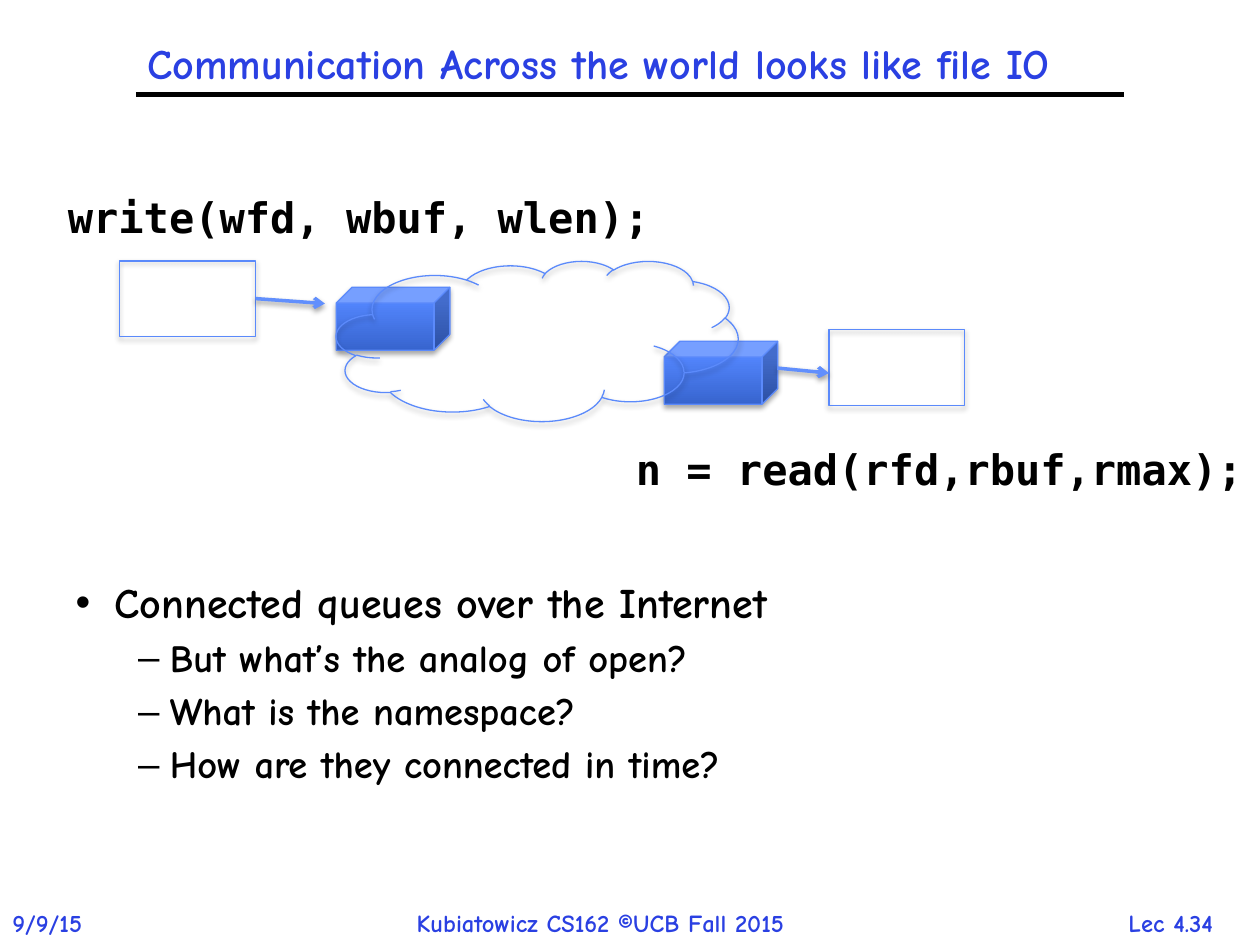
from lxml import etree
from pptx import Presentation
from pptx import util as u
from pptx.dml import color
from pptx.enum import shapes, text
from pptx.oxml import ns

BLUE, BLACK, OUTLINE, ARROW = "2A40E2", "000000", "5B8AFB", "618FFD"
COMIC, MONO = "Comic Neue", "DejaVu Sans Mono"


def rgb(value):
    """Turn a hex string into a colour."""
    return color.RGBColor.from_string(value)


def cm(*lengths):
    """Turn centimetre numbers into lengths."""
    return [u.Cm(length) for length in lengths]


def apply(target, formats):
    """Set every attribute named in a dict."""
    for name, value in formats.items():
        setattr(target, name, value)


def add_child(parent, tag, **attributes):
    """Append a drawing element and return it."""
    child = etree.SubElement(parent, ns.qn(tag))
    for name, value in attributes.items():
        child.set(name, str(value))
    return child


def write(paragraph, words, size, font, hex_color):
    """Put one bold formatted run in a paragraph."""
    run = paragraph.add_run()
    run.text = words
    apply(run.font, {"size": u.Pt(size), "name": font, "bold": True})
    run.font.color.rgb = rgb(hex_color)


def place(shape, box):
    """Move and size a shape."""
    apply(shape, dict(zip(("left", "top", "width", "height"), cm(*box))))


def add_label(slide, box, words, size, font, hex_color, wrap=True):
    """Add a text box with one line of text."""
    frame = slide.shapes.add_textbox(*cm(*box)).text_frame
    frame.word_wrap = wrap
    write(frame.paragraphs[0], words, size, font, hex_color)


def add_shadow(effects, opacity, distance):
    """Fill an effect list with a soft shadow below the shape."""
    shadow = add_child(effects, "a:outerShdw", blurRad=u.Pt(3.1), dist=u.Pt(distance),
                       dir=5400000, rotWithShape=0)
    shade = add_child(shadow, "a:srgbClr", val=BLACK)
    add_child(shade, "a:alpha", val=opacity * 1000)


def add_figure(slide, kind, box, filled=False):
    """Add an outlined shape, with a blue gradient if filled."""
    shape = slide.shapes.add_shape(kind, *cm(*box))
    if filled:
        shape.fill.gradient()
        shape.fill.gradient_angle = 90
        stops = zip(shape.fill.gradient_stops, ("3764CE", "5487FF"), (0, 0.8))
        for stop, hex_color, position in stops:
            stop.color.rgb = rgb(hex_color)
            stop.position = position
    else:
        shape.fill.background()
    shape.line.color.rgb = rgb(OUTLINE)
    shape.line.width = u.Pt(0.75)
    shape.shadow.inherit = False
    add_shadow(shape.element.spPr.find(ns.qn("a:effectLst")), 35, 1.8)


def add_line(slide, ends, hex_color, width, arrow=False):
    """Add a straight line, with an arrowhead and shadow if it is an arrow."""
    line = slide.shapes.add_connector(shapes.MSO_CONNECTOR.STRAIGHT, *cm(*ends))
    line.line.color.rgb = rgb(hex_color)
    line.line.width = u.Pt(width)
    properties = line.element.spPr
    effects = add_child(properties, "a:effectLst")
    if arrow:
        add_child(properties.find(ns.qn("a:ln")), "a:tailEnd", type="arrow")
        add_shadow(effects, 38, 1.6)


def fill_title(title, words):
    """Place and write the slide title."""
    place(title, (0, 0.1, 24.13, 2.44))
    apply(title.text_frame, {"auto_size": text.MSO_AUTO_SIZE.NONE,
                             "vertical_anchor": text.MSO_ANCHOR.MIDDLE})
    paragraph = title.text_frame.paragraphs[0]
    apply(paragraph, {"alignment": text.PP_ALIGN.CENTER, "line_spacing": 0.9})
    write(paragraph, words, 24, COMIC, BLUE)


def fill_body(body, items):
    """Place the body and write its bulleted list."""
    place(body, (1.27, 11.61, 22.86, 5.89))
    frame = body.text_frame
    frame.auto_size = text.MSO_AUTO_SIZE.NONE
    styles = (("•", 24, 0.79, -0.79), ("–", 22, 1.9, -0.64))
    for index, (level, words) in enumerate(items):
        paragraph = frame.add_paragraph() if index else frame.paragraphs[0]
        bullet, size, margin, indent = styles[level]
        apply(paragraph, {"level": level, "line_spacing": 0.9,
                          "space_before": u.Pt(size * 0.3)})
        write(paragraph, words, size, COMIC, BLACK)
        properties = paragraph._p.get_or_add_pPr()
        properties.set("marL", str(u.Cm(margin)))
        properties.set("indent", str(u.Cm(indent)))
        add_child(properties, "a:buChar", char=bullet)


def main():
    """Build the slide and save it."""
    presentation = Presentation()
    apply(presentation, {"slide_width": u.Cm(25.4), "slide_height": u.Cm(19.05)})
    slide = presentation.slides.add_slide(presentation.slide_layouts[1])
    title, body = slide.placeholders
    fill_title(title, "Communication Across the world looks like file IO")
    fill_body(body, [(0, "Connected queues over the Internet"),
                     (1, "But what’s the analog of open?"),
                     (1, "What is the namespace?"),
                     (1, "How are they connected in time?")])
    add_line(slide, (2.74, 1.9, 22.66, 1.9), BLACK, 3)

    for left, width, words in ((0, 2.24, "9/9/15"),
                               (8.15, 9.17, "Kubiatowicz CS162 ©UCB Fall 2015"),
                               (22.5, 2.27, "Lec 4.34")):
        add_label(slide, (left, 18.19, width, 0.85), words, 14, COMIC, BLUE, False)
    for left, top, words in ((1.12, 3.73, "write(wfd, wbuf, wlen);"),
                             (12.57, 8.81, "n = read(rfd,rbuf,rmax);")):
        add_label(slide, (left, top, 12.83, 1.27), words, 24, MONO, BLACK)

    kinds = shapes.MSO_SHAPE
    for left, top in ((2.41, 5.26), (16.71, 6.65)):
        add_figure(slide, kinds.RECTANGLE, (left, top, 2.74, 1.52))
    for left, top in ((6.78, 5.79), (13.39, 6.88)):
        add_figure(slide, kinds.CUBE, (left, top, 2.29, 1.27), True)
    for ends in ((5.16, 6.02, 6.55, 6.12), (15.67, 7.42, 16.71, 7.52)):
        add_line(slide, ends, ARROW, 2, True)
    add_figure(slide, kinds.CLOUD, (6.78, 5.26, 8.1, 3.23))
    presentation.save("out.pptx")


main()
